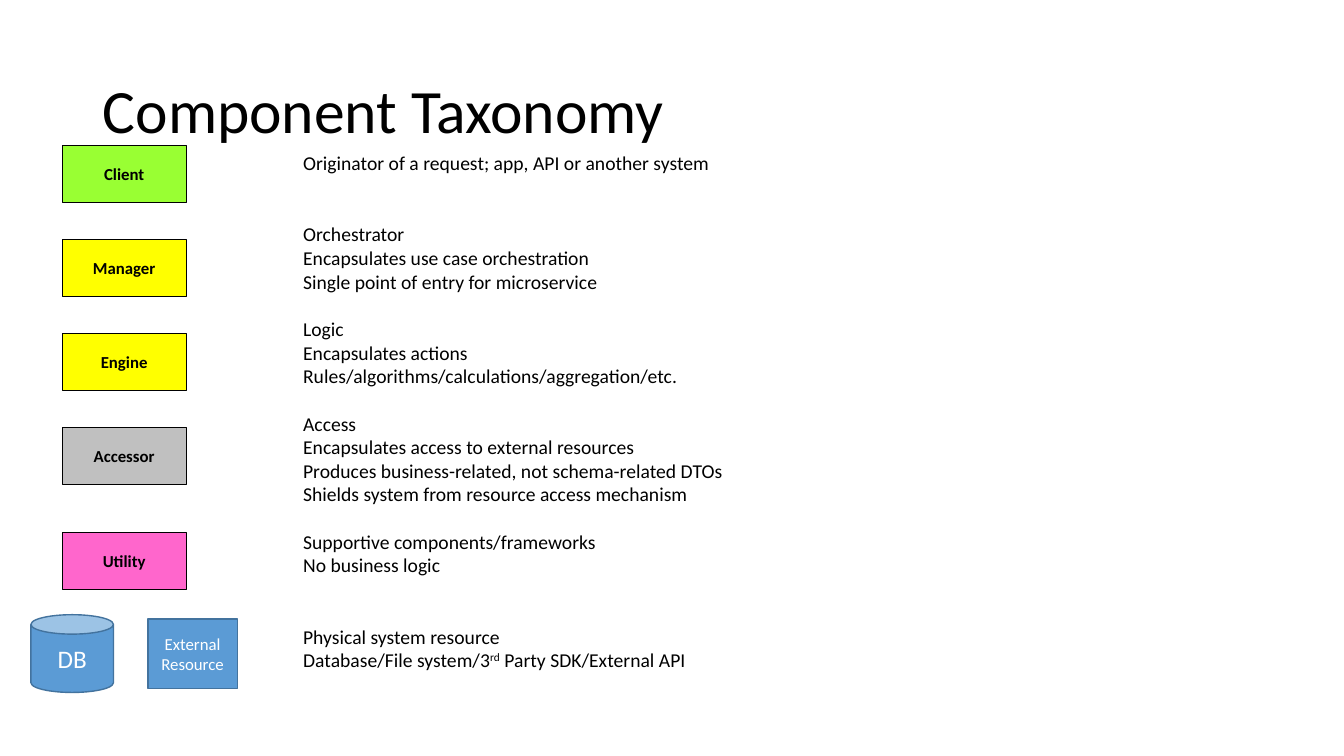
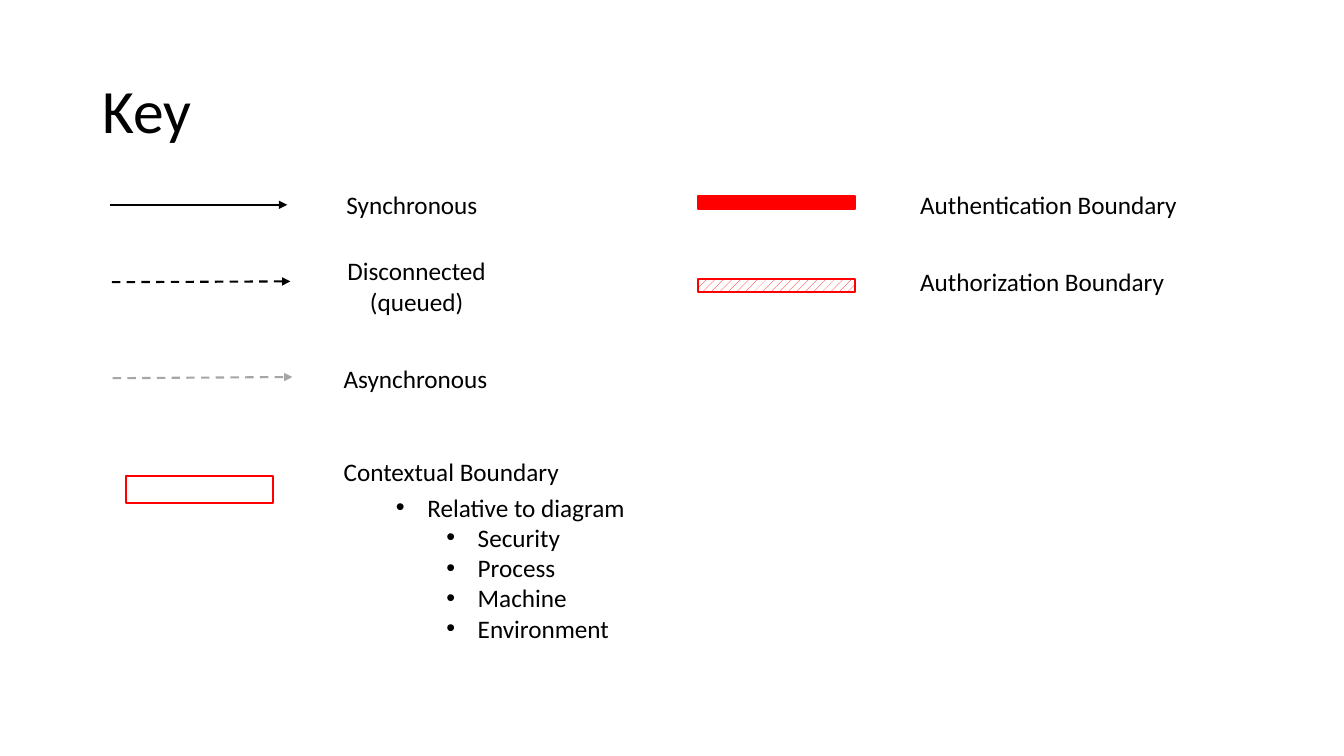
from dataclasses import dataclass
from typing import Any

from lxml.etree import SubElement
from pptx import Presentation
from pptx.dml.color import RGBColor
from pptx.enum.dml import MSO_LINE, MSO_PATTERN
from pptx.enum.shapes import MSO_CONNECTOR, MSO_SHAPE
from pptx.enum.text import MSO_ANCHOR, MSO_AUTO_SIZE, PP_ALIGN
from pptx.oxml.ns import qn
from pptx.slide import Slide
from pptx.util import Cm, Pt


# Shared look
@dataclass(frozen=True)
class Theme:
    font: str = "Calibri"
    black: str = "000000"
    white: str = "FFFFFF"
    green: str = "99FF33"
    yellow: str = "FFFF00"
    silver: str = "C0C0C0"
    pink: str = "FF66CC"
    blue: str = "5B9BD5"
    navy: str = "43739E"
    red: str = "FF0000"
    gray: str = "A6A6A6"
    title: int = 44
    large: int = 18
    body: int = 14
    small: int = 12
    line: float = 17.1  # height of one body line


THEME = Theme()
Area = tuple[float, float, float, float]


@dataclass(frozen=True)
class Para:
    text: str  # text between carets is raised
    gap: float = 0
    dent: float | None = None  # bullet indent in cm


@dataclass(frozen=True)
class Label:
    area: Area
    paras: tuple[Para, ...]
    size: int = THEME.large
    align: PP_ALIGN = PP_ALIGN.LEFT
    wrap: bool = False


@dataclass(frozen=True)
class Box:
    area: Area
    fill: str | None
    edge: str
    weight: float
    text: str = ""
    size: int = THEME.small
    ink: str = THEME.black
    bold: bool = False
    form: MSO_SHAPE = MSO_SHAPE.RECTANGLE
    hatch: bool = False


@dataclass(frozen=True)
class Arrow:
    start: tuple[float, float]
    end: tuple[float, float]
    ink: str = THEME.black
    dash: bool = False


# Drawing tools
def paint(text: str) -> RGBColor:
    return RGBColor.from_string(text)


def apply(target: Any, style: dict[str, Any]) -> None:
    for name, value in style.items():
        setattr(target, name, value)


def write(frame: Any, paras: tuple[Para, ...], size: int, ink: str = THEME.black,
          bold: bool = False, align: PP_ALIGN = PP_ALIGN.LEFT) -> None:
    style = {"name": THEME.font, "size": Pt(size), "bold": bold}
    for index, para in enumerate(paras):
        item = frame.add_paragraph() if index else frame.paragraphs[0]
        apply(item, {"alignment": align, "space_before": Pt(para.gap)})
        for part, text in enumerate(para.text.split("^")):
            run = item.add_run()
            run.text = text
            apply(run.font, style)
            run.font.color.rgb = paint(ink)
            if part % 2:
                run.font._element.set("baseline", "30000")
        if para.dent is not None:
            props = item._p.get_or_add_pPr()
            props.set("marL", str(Cm(para.dent)))
            props.set("indent", str(-Cm(0.79)))
            SubElement(props, qn("a:buFont")).set("typeface", "Arial")
            SubElement(props, qn("a:buChar")).set("char", "•")


def add_label(slide: Slide, label: Label) -> Any:
    frame = slide.shapes.add_textbox(*map(Cm, label.area)).text_frame
    apply(frame, {"word_wrap": label.wrap,
                  "auto_size": MSO_AUTO_SIZE.SHAPE_TO_FIT_TEXT})
    write(frame, label.paras, label.size, align=label.align)
    return frame


def add_box(slide: Slide, box: Box) -> None:
    shape = slide.shapes.add_shape(box.form, *map(Cm, box.area))
    shape.shadow.inherit = False
    if box.hatch:
        shape.fill.patterned()
        shape.fill.pattern = MSO_PATTERN.PERCENT_20
        shape.fill.fore_color.rgb = paint(box.fill)
        shape.fill.back_color.rgb = paint(THEME.white)
    elif box.fill:
        shape.fill.solid()
        shape.fill.fore_color.rgb = paint(box.fill)
    else:
        shape.fill.background()
    shape.line.color.rgb = paint(box.edge)
    shape.line.width = Pt(box.weight)
    if box.text:
        frame = shape.text_frame
        apply(frame, {"word_wrap": True, "vertical_anchor": MSO_ANCHOR.MIDDLE})
        write(frame, (Para(box.text),), box.size, box.ink, box.bold, PP_ALIGN.CENTER)


def add_arrow(slide: Slide, arrow: Arrow) -> None:
    link = slide.shapes.add_connector(
        MSO_CONNECTOR.STRAIGHT, *map(Cm, arrow.start + arrow.end))
    link.line.color.rgb = paint(arrow.ink)
    link.line.width = Pt(1.5)
    if arrow.dash:
        link.line.dash_style = MSO_LINE.DASH
    props = link.element.spPr
    SubElement(props.find(qn("a:ln")), qn("a:tailEnd")).set("type", "triangle")
    SubElement(props, qn("a:effectLst"))


def add_slide(deck: Any, title: str) -> Slide:
    slide = deck.slides.add_slide(deck.slide_layouts[6])
    frame = add_label(slide, Label((2.34, 1.02, 29.21, 3.68), (Para(title),),
                                   THEME.title, wrap=True))
    apply(frame, {"auto_size": MSO_AUTO_SIZE.NONE,
                  "vertical_anchor": MSO_ANCHOR.MIDDLE})
    frame.paragraphs[0].line_spacing = 0.9
    return slide


deck = Presentation()
apply(deck, {"slide_width": Cm(33.87), "slide_height": Cm(19.05)})

# Component types
slide = add_slide(deck, "Component Taxonomy")
KINDS = (
    ("Client", 3.66, THEME.green),
    ("Manager", 6.03, THEME.yellow),
    ("Engine", 8.4, THEME.yellow),
    ("Accessor", 10.77, THEME.silver),
    ("Utility", 13.41, THEME.pink),
)
for name, top, fill in KINDS:
    add_box(slide, Box((1.57, top, 3.12, 1.45), fill, THEME.black, 0.75, name, bold=True))
add_box(slide, Box((0.78, 15.49, 2.08, 1.96), THEME.blue, THEME.navy, 1, "DB",
                   THEME.large, THEME.white, form=MSO_SHAPE.CAN))
add_box(slide, Box((3.73, 15.6, 2.25, 1.75), THEME.blue, THEME.navy, 1,
                   "External Resource", ink=THEME.white))

# Descriptions: lines of space above, then the text
NOTES = (
    (0, ("Originator of a request; app, API or another system",)),
    (2, ("Orchestrator", "Encapsulates use case orchestration",
         "Single point of entry for microservice")),
    (1, ("Logic", "Encapsulates actions",
         "Rules/algorithms/calculations/aggregation/etc.")),
    (1, ("Access", "Encapsulates access to external resources",
         "Produces business-related, not schema-related DTOs",
         "Shields system from resource access mechanism")),
    (1, ("Supportive components/frameworks", "No business logic")),
    (2, ("Physical system resource",
         "Database/File system/3^rd^ Party SDK/External API")),
)
paras = tuple(Para(text, 0 if index else rows * THEME.line)
              for rows, lines in NOTES for index, text in enumerate(lines))
add_label(slide, Label((7.39, 3.68, 20.7, 13.41), paras, THEME.body, wrap=True))

# Key: arrows
slide = add_slide(deck, "Key")
for arrow in (
    Arrow((2.82, 7.11), (7.32, 7.09), dash=True),
    Arrow((2.77, 5.16), (7.24, 5.16)),
    Arrow((2.84, 9.53), (7.37, 9.5), THEME.gray, True),
):
    add_arrow(slide, arrow)

# Key: boundaries
for area, fill, hatch in (
    ((17.6, 4.93, 3.94, 0.33), THEME.red, False),
    ((17.6, 7.04, 3.94, 0.33), THEME.red, True),
    ((3.18, 11.99, 3.71, 0.69), None, False),
):
    add_box(slide, Box(area, fill, THEME.red, 1.5, hatch=hatch))

# Key: labels
for text, left, top, width in (
    ("Synchronous", 8.48, 4.65, 3.86),
    ("Asynchronous", 8.41, 9.02, 4.17),
    ("Contextual Boundary", 8.41, 11.38, 5.99),
    ("Authentication Boundary", 22.94, 4.65, 7.06),
    ("Authorization Boundary", 22.94, 6.58, 6.73),
):
    add_label(slide, Label((left, top, width, 1.02), (Para(text),)))
add_label(slide, Label((8.48, 6.32, 4.04, 1.8), (Para("Disconnected"), Para("(queued)")),
                       align=PP_ALIGN.CENTER))
scopes = ("Security", "Process", "Machine", "Environment")
points = (Para("Relative to diagram", dent=0.79),
          *(Para(text, dent=2.06) for text in scopes))
add_label(slide, Label((9.73, 12.27, 6.45, 4.11), points, wrap=True))

deck.save("out.pptx")
